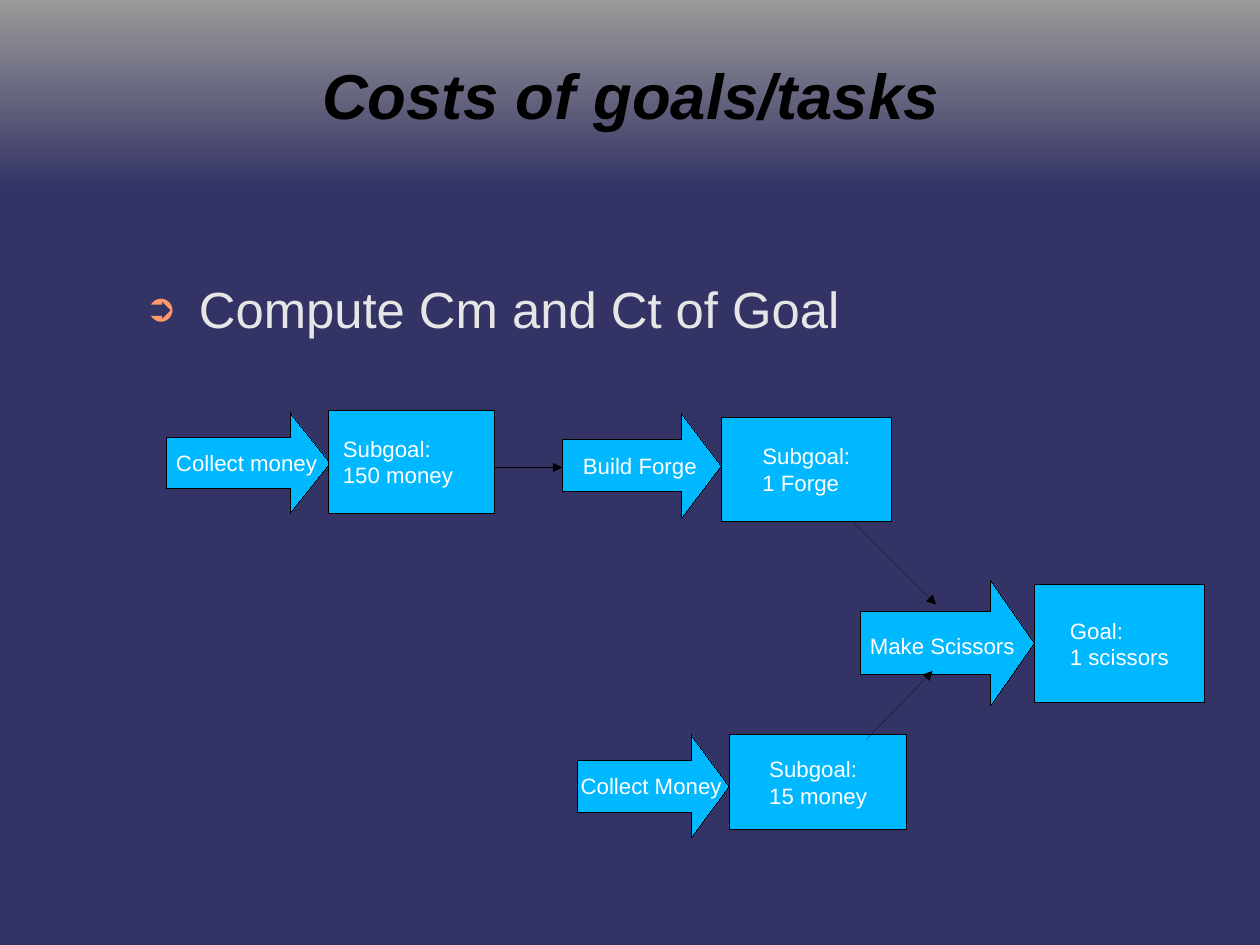
from lxml import etree
from pptx import Presentation
from pptx.dml.color import RGBColor
from pptx.enum import shapes, text
from pptx.oxml import ns
from pptx.util import Inches, Pt

NIGHT = RGBColor(0x33, 0x33, 0x66)
GREY = RGBColor(0x99, 0x99, 0x99)
SKY = RGBColor(0x00, 0xB8, 0xFF)
BLACK = RGBColor(0x00, 0x00, 0x00)
WHITE = RGBColor(0xFF, 0xFF, 0xFF)
PALE = RGBColor(0xE6, 0xE6, 0xE6)
ORANGE = RGBColor(0xFF, 0x99, 0x66)

# 28 by 21 centimetres
SLIDE_W, SLIDE_H = 28 / 2.54, 21 / 2.54
LABEL_W, LABEL_H = 1.3, 0.22

# Task, arrow box, arrowhead ratio, label offset; goal, goal box, text inset
STEPS = [
    ("Collect money", (1.46, 3.61, 1.43, 0.88), 0.4, (0.08, 0.32),
     "Subgoal:\n150 money", (2.87, 3.59, 1.46, 0.9), 0.13),
    ("Build Forge", (4.92, 3.62, 1.39, 0.91), 0.38, (0.18, 0.34),
     "Subgoal:\n1 Forge", (6.31, 3.65, 1.49, 0.91), 0.36),
    ("Make Scissors", (7.53, 5.08, 1.52, 1.09), 0.35, (0.08, 0.45),
     "Goal:\n1 scissors", (9.05, 5.11, 1.49, 1.04), 0.31),
    ("Collect Money", (5.05, 6.43, 1.33, 0.9), 0.37, (0.03, 0.33),
     "Subgoal:\n15 money", (6.38, 6.43, 1.55, 0.83), 0.35),
]
LINKS = [
    ((7.58, 6.47), (8.16, 5.87)),
    ((7.47, 4.57), (8.19, 5.29)),
    ((4.33, 4.09), (4.92, 4.09)),
]


def add_xml(parent, tag, **attributes):
    return etree.SubElement(parent, ns.qn(tag), attributes)


def draw_hairline(line):
    line.color.rgb = BLACK
    outline = line._get_or_add_ln()
    outline.set("w", "0")
    return outline


def write(shape, words, size, color, anchor=text.MSO_ANCHOR.TOP,
          align=text.PP_ALIGN.LEFT, inset=0, strong=False):
    frame = shape.text_frame
    frame.text = words
    frame.word_wrap = True
    frame.vertical_anchor = anchor
    frame.margin_left = Inches(inset)
    frame.margin_top = frame.margin_right = frame.margin_bottom = 0
    for paragraph in frame.paragraphs:
        paragraph.alignment = align
        for run in paragraph.runs:
            font = run.font
            font.name, font.size = "Arial", Pt(size)
            font.bold = font.italic = strong
            font.color.rgb = color
    return frame


def add_text(slide, box, words, size, color, **style):
    holder = slide.shapes.add_textbox(*map(Inches, box))
    return write(holder, words, size, color, **style)


def add_block(slide, kind, box):
    block = slide.shapes.add_shape(kind, *map(Inches, box))
    block.shadow.inherit = False
    block.fill.solid()
    block.fill.fore_color.rgb = SKY
    draw_hairline(block.line)
    return block


def add_header(slide, box):
    left, top, width, height = box
    # Band fading into the background
    band = slide.shapes.add_shape(shapes.MSO_SHAPE.RECTANGLE, *map(Inches, box))
    band.shadow.inherit = False
    band.line.fill.background()
    band.fill.gradient()
    band.fill.gradient_angle = 270
    for stop, color in zip(band.fill.gradient_stops, (GREY, NIGHT)):
        stop.color.rgb = color
    # Title
    title_box = (left + 0.81, top + 0.13, width - 1.61, height - 0.28)
    add_text(slide, title_box, "Costs of goals/tasks", 40, BLACK, strong=True,
             anchor=text.MSO_ANCHOR.MIDDLE, align=text.PP_ALIGN.CENTER)


def add_bullet(slide, box):
    frame = add_text(slide, box, "Compute Cm and Ct of Goal", 32, PALE)
    point = frame.paragraphs[0]
    point.space_after = Pt(14.2)
    props = point._p.get_or_add_pPr()
    props.set("marL", str(Inches(0.55)))
    props.set("indent", str(Inches(-0.47)))
    add_xml(add_xml(props, "a:buClr"), "a:srgbClr", val=str(ORANGE))
    add_xml(props, "a:buSzPct", val="75000")
    add_xml(props, "a:buFont", typeface="Arial")
    add_xml(props, "a:buChar", char="➲")


def add_step(slide, task, arrow_box, head, offset, goal, goal_box, inset):
    arrow = add_block(slide, shapes.MSO_SHAPE.RIGHT_ARROW, arrow_box)
    arrow.adjustments[1] = head
    goal_block = add_block(slide, shapes.MSO_SHAPE.RECTANGLE, goal_box)
    write(goal_block, goal, 14, WHITE, inset=inset,
          anchor=text.MSO_ANCHOR.MIDDLE)
    # Task label over the arrow
    left, top = arrow_box[:2]
    label_box = (left + offset[0], top + offset[1], LABEL_W, LABEL_H)
    add_text(slide, label_box, task, 14, WHITE)


def add_link(slide, start, end):
    link = slide.shapes.add_connector(
        shapes.MSO_CONNECTOR.STRAIGHT, *map(Inches, start + end))
    outline = draw_hairline(link.line)
    add_xml(outline, "a:tailEnd", type="triangle")
    add_xml(link._element.spPr, "a:effectLst")


def main():
    deck = Presentation()
    deck.slide_width, deck.slide_height = Inches(SLIDE_W), Inches(SLIDE_H)
    slide = deck.slides.add_slide(deck.slide_layouts[6])
    slide.background.fill.solid()
    slide.background.fill.fore_color.rgb = NIGHT

    add_header(slide, (0, 0, SLIDE_W, 1.66))
    add_bullet(slide, (1.19, 2.43, 9.27, 5.21))
    # Plan of tasks and goals
    for step in STEPS:
        add_step(slide, *step)
    for start, end in LINKS:
        add_link(slide, start, end)

    deck.save("out.pptx")


if __name__ == "__main__":
    main()
